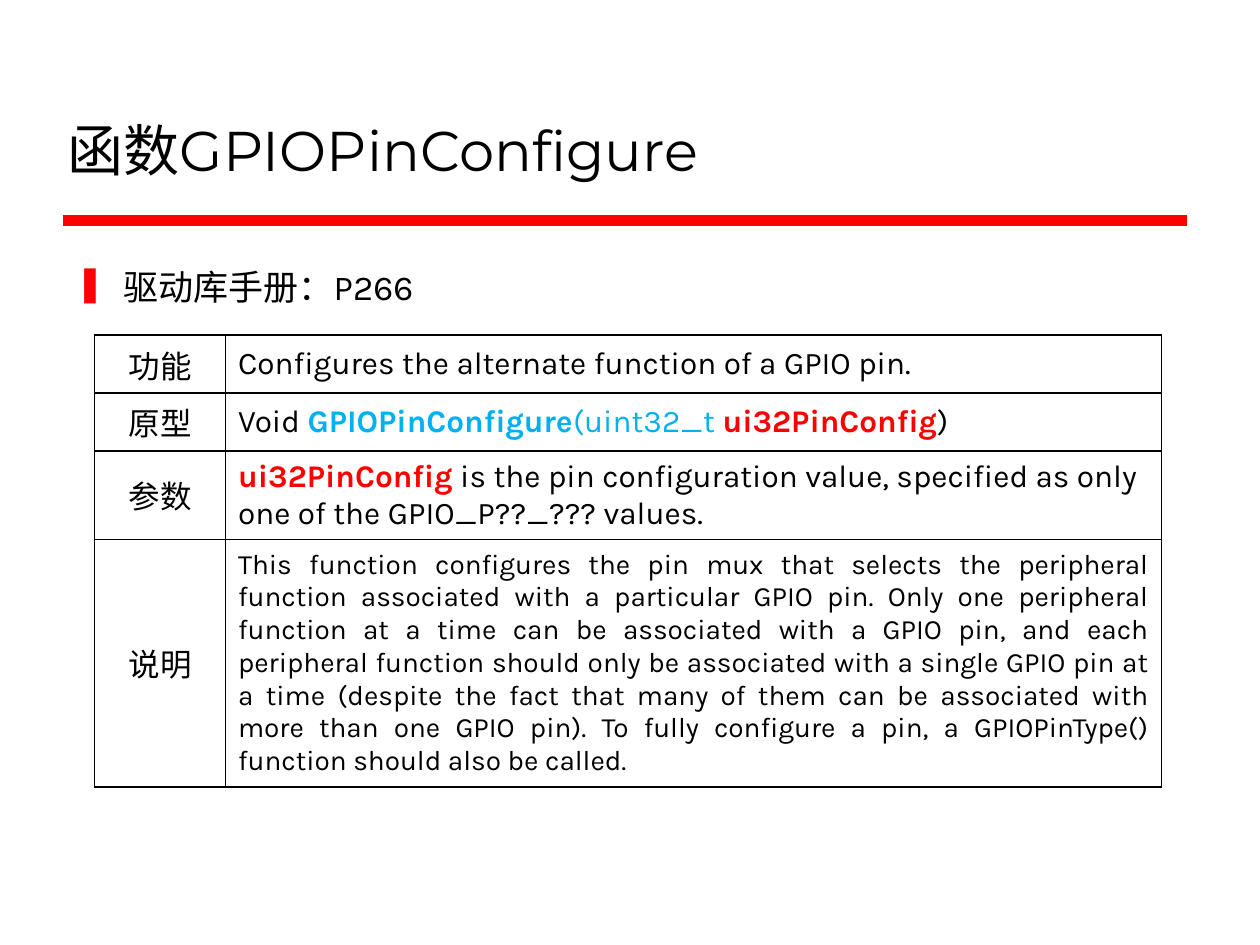
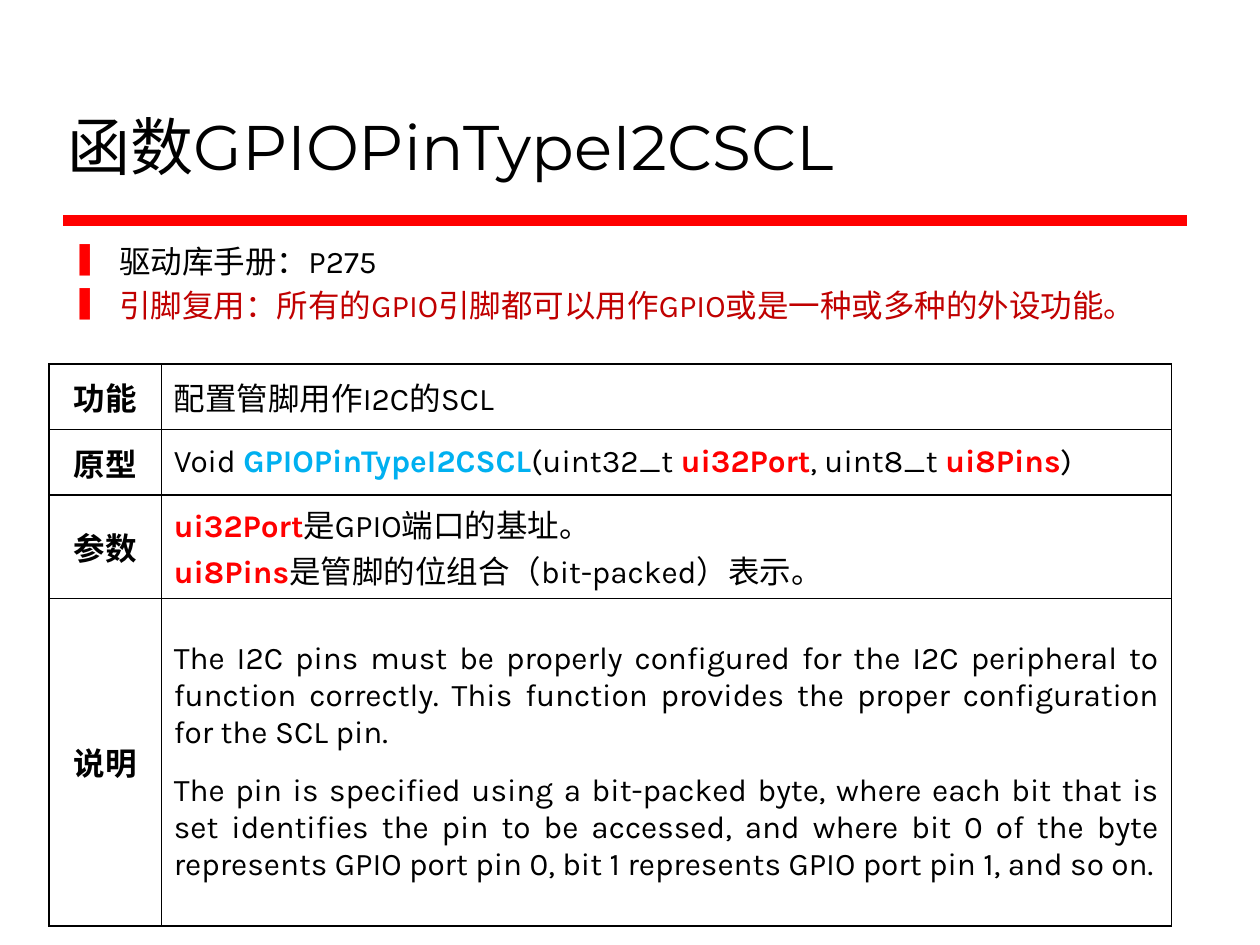
from dataclasses import dataclass

from lxml import etree
from pptx import Presentation
from pptx import util as u
from pptx.dml.color import RGBColor
from pptx.enum import shapes, text
from pptx.oxml import ns


@dataclass(frozen=True)
class Theme:
    title_font: str = "Montserrat"
    body_font: str = "Karla"
    ink: str = "000000"
    accent: str = "FF0000"
    function: str = "00B0F0"
    warning: str = "C00000"
    cell_size: int = 18
    rule_width: int = 6
    border_width: int = 1


THEME = Theme()

# Run styles: colour, bold
PLAIN = (THEME.ink, False)
FUNCTION = (THEME.function, True)
TYPE = (THEME.function, False)
PARAMETER = (THEME.accent, True)

# Content: a table value is a list of paragraphs, each a list of (words, style)
LABELS = ["功能", "原型", "参数", "说明"]
PAGES = [
    {
        "title": "函数GPIOPinConfigure",
        "title_size": 32,
        "points": [("驱动库手册：P266", THEME.ink)],
        "points_size": 20,
        "points_at": (0.5, 2.06, 8.94, 0.5),
        "table_at": (0.75, 2.66),
        "columns": (1.04, 7.43),
        "rows": (0.46, 0.46, 0.69, 1.92),
        "bold_labels": False,
        "note_size": 16,
        "note_gap": 0,
        "values": [
            [[("Configures the alternate function of a GPIO pin.", PLAIN)]],
            [[("Void ", PLAIN), ("GPIOPinConfigure", FUNCTION), ("(uint32_t ", TYPE),
              ("ui32PinConfig", PARAMETER), (")", PLAIN)]],
            [[("ui32PinConfig", PARAMETER),
              (" is the pin configuration value, specified as only one of the "
               "GPIO_P??_??? values.", PLAIN)]],
            [[("This function configures the pin mux that selects the peripheral function "
               "associated with a particular GPIO pin. Only one peripheral function at a time "
               "can be associated with a GPIO pin, and each peripheral function should only be "
               "associated with a single GPIO pin at a time (despite the fact that many of them "
               "can be associated with more than one GPIO pin). To fully configure a pin, a "
               "GPIOPinType() function should also be called.", PLAIN)]],
        ],
    },
    {
        "title": "函数GPIOPinTypeI2CSCL",
        "title_size": 36,
        "points": [
            ("驱动库手册：P275", THEME.ink),
            ("引脚复用：所有的GPIO引脚都可以用作GPIO或是一种或多种的外设功能。", THEME.warning),
        ],
        "points_size": 18,
        "points_at": (0.47, 1.87, 9.53, 0.86),
        "table_at": (0.39, 2.89),
        "columns": (0.89, 8.02),
        "rows": (0.52, 0.52, 0.82, 2.6),
        "bold_labels": True,
        "note_size": 18,
        "note_gap": 6,
        "values": [
            [[("配置管脚用作I2C的SCL", PLAIN)]],
            [[("Void ", PLAIN), ("GPIOPinTypeI2CSCL", FUNCTION), ("(uint32_t ", PLAIN),
              ("ui32Port", PARAMETER), (", uint8_t ", PLAIN), ("ui8Pins", PARAMETER),
              (")", PLAIN)]],
            [[("ui32Port", PARAMETER), ("是GPIO端口的基址。", PLAIN)],
             [("ui8Pins", PARAMETER), ("是管脚的位组合（bit-packed）表示。", PLAIN)]],
            [[("The I2C pins must be properly configured for the I2C peripheral to function "
               "correctly. This function provides the proper configuration for the SCL pin.",
               PLAIN)],
             [("The pin is specified using a bit-packed byte, where each bit that is set "
               "identifies the pin to be accessed, and where bit 0 of the byte represents GPIO "
               "port pin 0, bit 1 represents GPIO port pin 1, and so on.", PLAIN)]],
        ],
    },
]


def inches(values):
    return [u.Inches(value) for value in values]


def set_font(font, name, size, color=THEME.ink, bold=False):
    font.name, font.size, font.bold = name, u.Pt(size), bold
    font.color.rgb = RGBColor.from_string(color)


def paragraphs(frame, count):
    """Return the frame's first paragraph and as many more as needed."""
    return [frame.paragraphs[0]] + [frame.add_paragraph() for _ in range(count - 1)]


def add_textbox(slide, at, anchor):
    frame = slide.shapes.add_textbox(*inches(at)).text_frame
    frame.word_wrap = True
    frame.vertical_anchor = anchor
    return frame


def add_heading(slide, title, size):
    # Title
    frame = add_textbox(slide, (0.44, 0.25, 8.97, 1.25), text.MSO_ANCHOR.BOTTOM)
    heading = frame.paragraphs[0]
    heading.text = title
    set_font(heading.font, THEME.title_font, size)

    # Rule below the title
    rule = slide.shapes.add_connector(
        shapes.MSO_CONNECTOR.STRAIGHT, *inches((0.5, 1.75, 9.42, 1.75)))
    rule.line.color.rgb = RGBColor.from_string(THEME.accent)
    rule.line.width = u.Pt(THEME.rule_width)
    etree.SubElement(rule._element.spPr, ns.qn("a:effectLst"))


def add_bullet(paragraph):
    props = paragraph._p.get_or_add_pPr()
    indent = u.Inches(0.38)
    props.set("marL", str(indent))
    props.set("indent", str(-indent))
    color = etree.Element(ns.qn("a:buClr"))
    etree.SubElement(color, ns.qn("a:srgbClr"), val=THEME.accent)
    mark = etree.Element(ns.qn("a:buChar"), char="❚")
    for element in (color, mark):
        props.insert_element_before(element, "a:tabLst", "a:defRPr", "a:extLst")


def add_points(slide, points, size, at):
    frame = add_textbox(slide, at, text.MSO_ANCHOR.TOP)
    for paragraph, (words, color) in zip(paragraphs(frame, len(points)), points):
        paragraph.text = words
        paragraph.space_before = u.Pt(size * 0.2)
        set_font(paragraph.font, THEME.body_font, size, color)
        add_bullet(paragraph)


def style_cell(cell):
    cell.vertical_anchor = text.MSO_ANCHOR.MIDDLE
    props = cell._tc.get_or_add_tcPr()
    for side in ("lnL", "lnR", "lnT", "lnB"):
        border = etree.SubElement(props, ns.qn(f"a:{side}"), w=str(u.Pt(THEME.border_width)))
        fill = etree.SubElement(border, ns.qn("a:solidFill"))
        etree.SubElement(fill, ns.qn("a:srgbClr"), val=THEME.ink)
    cell.fill.background()


def fill_value(cell, value, size, align, gap):
    for paragraph, runs in zip(paragraphs(cell.text_frame, len(value)), value):
        paragraph.alignment = align
        paragraph.space_before = paragraph.space_after = u.Pt(gap)
        set_font(paragraph.font, THEME.body_font, size)
        for words, (color, bold) in runs:
            run = paragraph.add_run()
            run.text = words
            if (color, bold) != PLAIN:
                run.font.bold = bold
                run.font.color.rgb = RGBColor.from_string(color)


def add_reference(slide, page):
    columns, rows = inches(page["columns"]), inches(page["rows"])
    table = slide.shapes.add_table(
        len(rows), len(columns), *inches(page["table_at"]), sum(columns), sum(rows)).table
    table.first_row = table.horz_banding = False
    for column, width in zip(table.columns, columns):
        column.width = width
    for index, (label, value) in enumerate(zip(LABELS, page["values"])):
        table.rows[index].height = rows[index]
        label_cell, value_cell = table.cell(index, 0), table.cell(index, 1)
        style_cell(label_cell)
        style_cell(value_cell)

        name = label_cell.text_frame.paragraphs[0]
        name.text = label
        name.alignment = text.PP_ALIGN.CENTER
        set_font(name.font, THEME.body_font, THEME.cell_size, bold=page["bold_labels"])

        # The last row holds the justified explanation
        if index == len(LABELS) - 1:
            fill_value(value_cell, value, page["note_size"],
                       text.PP_ALIGN.JUSTIFY, page["note_gap"])
        else:
            fill_value(value_cell, value, THEME.cell_size, text.PP_ALIGN.LEFT, 0)


def main():
    deck = Presentation()
    deck.slide_width, deck.slide_height = inches((10, 7.5))
    for page in PAGES:
        slide = deck.slides.add_slide(deck.slide_layouts[6])
        add_heading(slide, page["title"], page["title_size"])
        add_points(slide, page["points"], page["points_size"], page["points_at"])
        add_reference(slide, page)
    deck.save("out.pptx")


if __name__ == "__main__":
    main()
